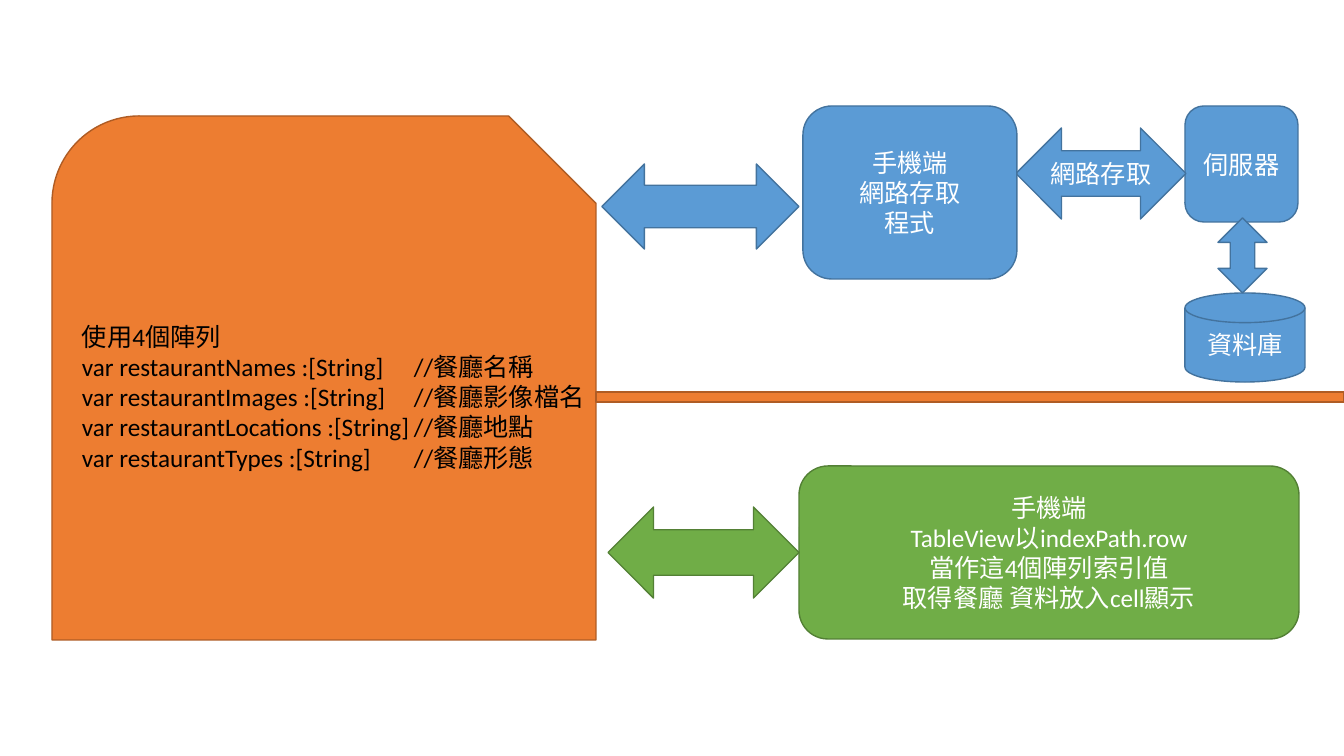
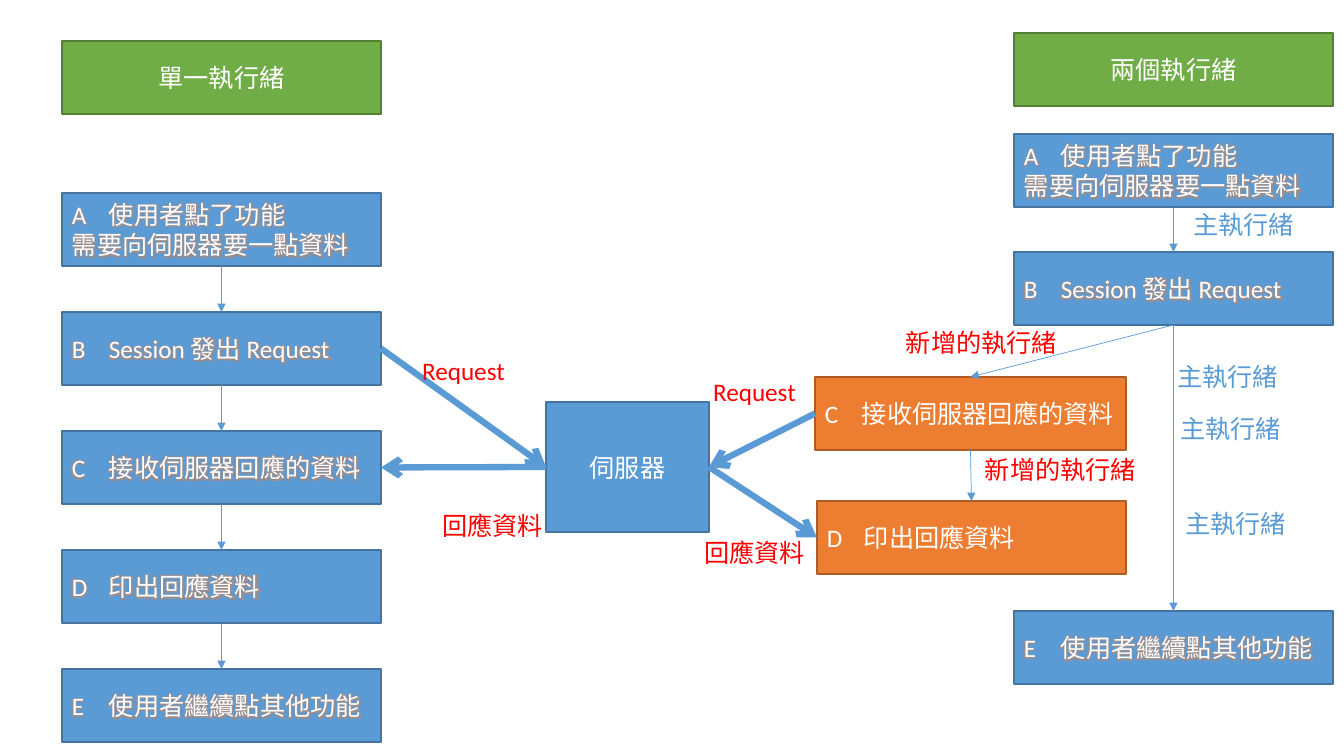
"""Build two slides on restaurant data arrays and request threads."""
from lxml.etree import SubElement
from pptx import Presentation
from pptx.dml.color import RGBColor
from pptx.enum.shapes import MSO_CONNECTOR as Wire, MSO_SHAPE as Form
from pptx.enum.text import MSO_ANCHOR as Anchor, PP_ALIGN as Align
from pptx.oxml.ns import qn
from pptx.util import Pt

SCALE = 914400 / 100.8
WIDE, HIGH = 1344, 756
FONT, SIZE = "Calibri", 18
COLORS = {
    "blue": "5B9BD5", "blue edge": "43739E",
    "green": "70AD47", "green edge": "538035",
    "orange": "ED7D31", "orange edge": "AF5C24",
    "white": "FFFFFF", "black": "000000", "red": "FF0000",
}
TOP, LEFT, BOTTOM, RIGHT = range(4)

PARTS = [
    (Form.FLOWCHART_MAGNETIC_DISK, (1185, 293, 120, 89), "blue", "資料庫"),
    (Form.ROUNDED_RECTANGLE, (1185, 106, 113, 116), "blue", "伺服器"),
    (Form.LEFT_RIGHT_ARROW, (1016, 128, 170, 91), "blue", "網路存取"),
    (Form.ROUNDED_RECTANGLE, (803, 106, 214, 173), "blue", "手機端\n網路存取\n程式"),
    (Form.SNIP_ROUND_RECTANGLE, (52, 116, 544, 524), "orange", ""),
    (Form.UP_DOWN_ARROW, (1218, 218, 49, 75), "blue", ""),
    (Form.ROUNDED_RECTANGLE, (799, 466, 500, 173), "green",
     "手機端\nTableView以indexPath.row\n當作這4個陣列索引值\n取得餐廳 資料放入cell顯示"),
    (Form.LEFT_RIGHT_ARROW, (608, 507, 191, 91), "green", ""),
    (Form.LEFT_RIGHT_ARROW, (602, 164, 197, 85), "blue", ""),
    (Form.FLOWCHART_PROCESS, (596, 392, 748, 10), "orange", ""),
]
ARRAYS = """使用4個陣列
var restaurantNames :[String]\t//餐廳名稱
var restaurantImages :[String]\t//餐廳影像檔名
var restaurantLocations :[String]\t//餐廳地點
var restaurantTypes :[String]\t//餐廳形態"""
ARRAY_BOX, ARRAY_TAB = (72, 316, 531, 163), 332

STEPS = {
    "A": "A\t使用者點了功能\n需要向伺服器要一點資料",
    "B": "B\tSession 發出 Request",
    "C": "C\t接收伺服器回應的資料",
    "D": "D\t印出回應資料",
    "E": "E\t使用者繼續點其他功能",
}
STEP_W, STEP_H, STEP_TAB = 319, 73, 37
ONE_X, ONE_Y, PITCH = 62, 193, 119
TWO_X = 1014
HEADS = [((ONE_X, 41), "單一執行緒"), ((TWO_X, 33), "兩個執行緒")]
TWO = [
    ("A", (TWO_X, 134, STEP_W), "blue"),
    ("B", (TWO_X, 252, STEP_W), "blue"),
    ("C", (815, 377, 311), "orange"),
    ("D", (817, 501, 309), "orange"),
    ("E", (TWO_X, 611, STEP_W), "blue"),
]
SERVER = (546, 402, 163, 130)
LINKS = [
    ("1A", BOTTOM, "1B", TOP), ("1B", BOTTOM, "1C", TOP),
    ("1C", BOTTOM, "1D", TOP), ("1D", BOTTOM, "1E", TOP),
    ("2A", BOTTOM, "2B", TOP), ("2B", BOTTOM, "2C", TOP),
    ("2C", BOTTOM, "2D", TOP), ("2B", BOTTOM, "2E", TOP),
]
CALLS = [
    ("1B", RIGHT, "server", LEFT), ("server", LEFT, "1C", RIGHT),
    ("2C", LEFT, "server", RIGHT), ("server", RIGHT, "2D", LEFT),
]
LABEL_H = 56
LABELS = [
    ("Request", 115, "red", [(406, 342), (697, 363)]),
    ("回應資料", 141, "red", [(684, 524), (422, 497)]),
    ("新增的執行緒", 175, "red", [(894, 314), (973, 441)]),
    ("主執行緒", 141, "blue", [(1173, 196), (1157, 348), (1160, 400), (1165, 495)]),
]


def px(num):
    return round(num * SCALE)


def rgb(name):
    return RGBColor.from_string(COLORS[name])


def write(shape, text, color, align=Align.CENTER, anchor=Anchor.MIDDLE, tab=0, glow=False):
    frame = shape.text_frame
    frame.word_wrap = True
    frame.vertical_anchor = anchor
    frame.text = text
    for para in frame.paragraphs:
        para.alignment = align
        if tab:
            stops = SubElement(para._p.get_or_add_pPr(), qn("a:tabLst"))
            SubElement(stops, qn("a:tab"), pos=str(px(tab)), algn="l")
        font = para.font
        font.name, font.size = FONT, Pt(SIZE)
        font.color.rgb = rgb(color)
        for run in para.runs if glow else ():
            effects = SubElement(run._r.get_or_add_rPr(), qn("a:effectLst"))
            halo = SubElement(effects, qn("a:glow"), rad="63500")
            tint = SubElement(halo, qn("a:srgbClr"), val=COLORS["orange"])
            SubElement(tint, qn("a:satMod"), val="175000")
            SubElement(tint, qn("a:alpha"), val="40000")


def block(slide, form, box, color, text="", **style):
    shape = slide.shapes.add_shape(form, *map(px, box))
    shape.shadow.inherit = False
    shape.fill.solid()
    shape.fill.fore_color.rgb = rgb(color)
    shape.line.color.rgb = rgb(color + " edge")
    shape.line.width = Pt(1)
    if text:
        write(shape, text, "white", **style)
    return shape


def label(slide, box, text, color, **style):
    write(slide.shapes.add_textbox(*map(px, box)), text, color, **style)


def step(slide, key, spot, color="blue"):
    left, top, wide = spot
    return block(slide, Form.RECTANGLE, (left, top, wide, STEP_H), color, STEPS[key],
                 align=Align.LEFT, tab=STEP_TAB, glow=color == "blue")


def link(slide, start, out, end, into, width, head):
    wire = slide.shapes.add_connector(Wire.STRAIGHT, 0, 0, 0, 0)
    wire.begin_connect(start, out)
    wire.end_connect(end, into)
    wire.line.color.rgb = rgb("blue")
    wire.line.width = Pt(width)
    SubElement(wire.line._get_or_add_ln(), qn("a:tailEnd"), type=head)
    SubElement(wire._element.spPr, qn("a:effectLst"))


def draw_data(slide):
    for part in PARTS:
        block(slide, *part)
    label(slide, ARRAY_BOX, ARRAYS, "black",
          align=Align.LEFT, anchor=Anchor.TOP, tab=ARRAY_TAB)


def draw_threads(slide):
    for spot, text in HEADS:
        block(slide, Form.RECTANGLE, (*spot, STEP_W, STEP_H), "green", text)
    nodes = {"server": block(slide, Form.RECTANGLE, SERVER, "blue", "伺服器")}
    for row, key in enumerate(STEPS):
        nodes["1" + key] = step(slide, key, (ONE_X, ONE_Y + row * PITCH, STEP_W))
    for key, spot, color in TWO:
        nodes["2" + key] = step(slide, key, spot, color)
    for group, width, head in ((LINKS, 0.5, "triangle"), (CALLS, 4.5, "arrow")):
        for start, out, end, into in group:
            link(slide, nodes[start], out, nodes[end], into, width, head)
    for text, wide, color, spots in LABELS:
        for spot in spots:
            label(slide, (*spot, wide, LABEL_H), text, color)


def main():
    deck = Presentation()
    deck.slide_width, deck.slide_height = px(WIDE), px(HIGH)
    for draw in (draw_data, draw_threads):
        draw(deck.slides.add_slide(deck.slide_layouts[6]))
    deck.save("out.pptx")


if __name__ == "__main__":
    main()
